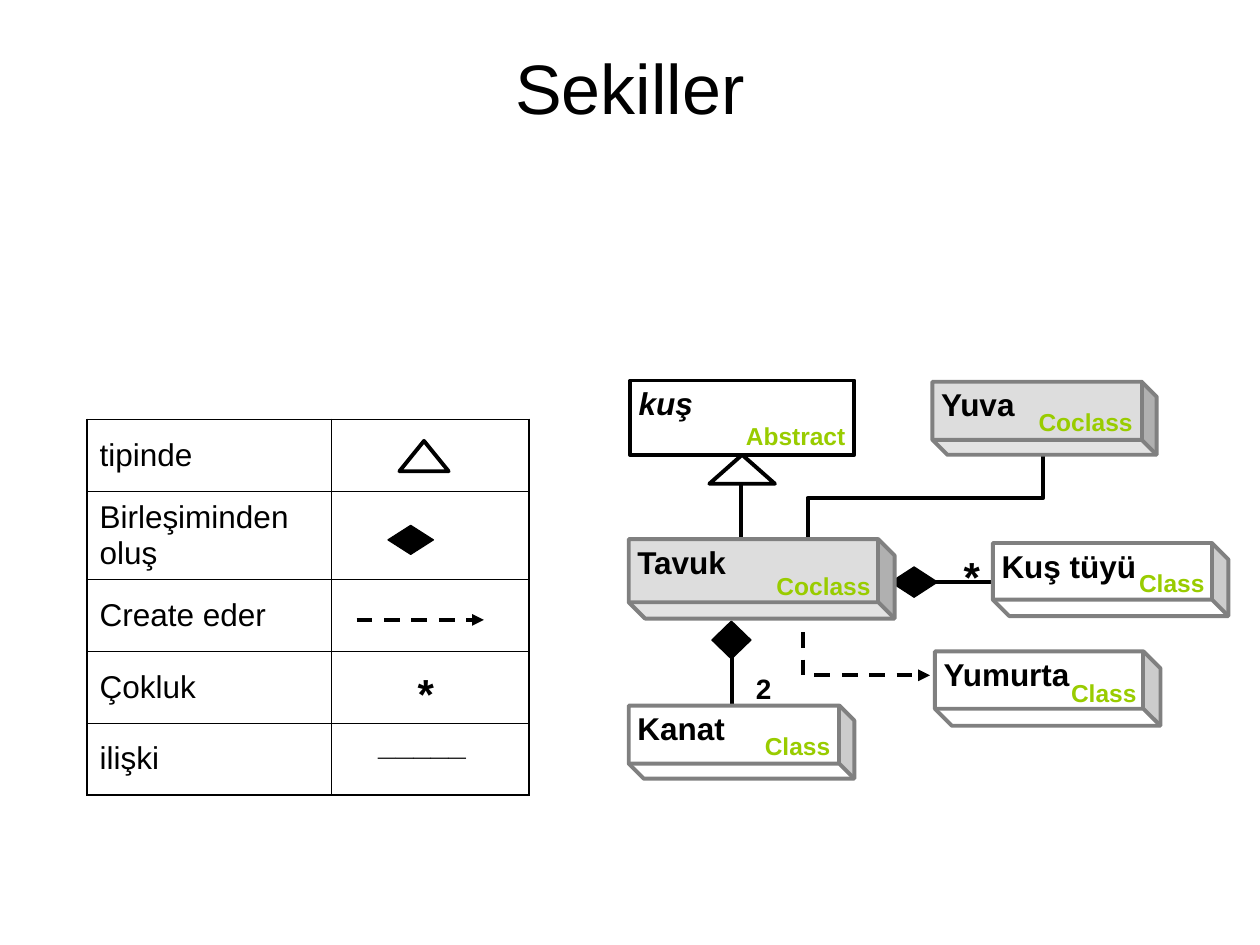
"""Build the "Sekiller" slide: a notation legend beside a class diagram."""
from lxml import etree
from pptx import Presentation
from pptx import util as u
from pptx.dml.color import RGBColor
from pptx.enum import dml, shapes, text
from pptx.oxml.ns import qn

BLACK, WHITE, GREY, SILVER, GREEN = "000000", "FFFFFF", "808080", "DDDDDD", "99CC00"
TITLE = "Sekiller"
MEANINGS = ["tipinde", "Birleşiminden oluş", "Create eder", "Çokluk", "ilişki"]
LEGEND_AREA = (0.69, 3.33, 3.51, 2.98)
LEGEND_COLUMNS, LEGEND_ROWS = (1.94, 1.57), (0.57, 0.7, 0.57, 0.57, 0.57)
TRIANGLES = [(3.17, 3.5, 0.39, 0.24), (5.63, 3.61, 0.52, 0.23)]
DIAMONDS = [(3.08, 4.17, 0.36, 0.23), (5.65, 4.93, 0.31, 0.3), (7.07, 4.5, 0.37, 0.24)]
LINES = [
    ((5.81, 5.08), (5.81, 5.61)),
    ((5.88, 3.84), (5.88, 4.27)),
    ((7.17, 4.62), (8.05, 4.62)),
]
CREATE_ARROW = ((2.83, 4.92), (3.84, 4.92))
NEST_LINK = ((6.41, 4.3), (8.28, 3.57))
EGG_ARROW = ((6.37, 4.8), (7.38, 5.36))
SYMBOLS = [
    ("*", (3.17, 5.25, 0.42, 0.32), 24, "CENTER"),
    ("_____", (2.83, 5.7, 1.04, 0.3), 18, "CENTER"),
    ("2", (5.9, 5.28, 0.37, 0.41), 16, "LEFT"),
    ("*", (7.55, 4.32, 0.37, 0.41), 24, "LEFT"),
]
ABSTRACT = ("kuş", "Abstract", (5, 3.02, 1.78, 0.59))
CLASSES = [
    ("Kanat", "Class", (4.99, 5.6, 1.79, 0.58), WHITE, 0.205),
    ("Yumurta", "Class", (7.42, 5.17, 1.79, 0.59), WHITE, 0.229),
    ("Yuva", "Coclass", (7.4, 3.03, 1.78, 0.58), SILVER, 0.205),
    ("Tavuk", "Coclass", (4.99, 4.28, 2.11, 0.63), SILVER, 0.205),
    ("Kuş tüyü", "Class", (7.88, 4.31, 1.87, 0.58), WHITE, 0.226),
]


def color(value):
    return RGBColor.from_string(value)


def inches(lengths):
    return [u.Inches(length) for length in lengths]


def write(frame, words, size=18, ink=BLACK, bold=False, italic=False,
          align="LEFT", anchor="TOP", side=0.1):
    frame.word_wrap = True
    frame.vertical_anchor = text.MSO_ANCHOR[anchor]
    frame.margin_left = frame.margin_right = u.Inches(side)
    frame.margin_top = frame.margin_bottom = u.Inches(0.05)
    paragraph = frame.paragraphs[0]
    paragraph.alignment = text.PP_ALIGN[align]
    run = paragraph.add_run()
    run.text = words
    font = run.font
    font.name, font.size, font.bold, font.italic = "Arial", u.Pt(size), bold, italic
    font.color.rgb = color(ink)


def label(slide, words, area, **look):
    write(slide.shapes.add_textbox(*inches(area)).text_frame, words, bold=True, **look)


def draw(slide, kind, area, fill=None, line=BLACK, width=2.25):
    outline = slide.shapes.add_shape(shapes.MSO_SHAPE[kind], *inches(area))
    outline.shadow.inherit = False
    if fill:
        outline.fill.solid()
        outline.fill.fore_color.rgb = color(fill)
    else:
        outline.fill.background()
    outline.line.color.rgb = color(line)
    outline.line.width = u.Pt(width)
    return outline


def connect(slide, start, end, kind="STRAIGHT", arrow=False):
    link = slide.shapes.add_connector(shapes.MSO_CONNECTOR[kind], *inches(start + end))
    link.line.color.rgb = color(BLACK)
    link.line.width = u.Pt(2.25)
    if arrow:
        link.line.dash_style = dml.MSO_LINE.DASH
        etree.SubElement(link.line._get_or_add_ln(), qn("a:tailEnd"), type="triangle")
    etree.SubElement(link._element.spPr, qn("a:effectLst"))
    return link


def bend(slide, start, end, turn, preset, middle=None, arrow=False):
    """Connect two points by an elbow that leaves the start vertically."""
    center_x, center_y = ((a + b) / 2 for a, b in zip(start, end))
    across, down = turn * (start[1] - center_y), turn * (center_x - start[0])
    link = connect(slide, (center_x + across, center_y + down),
                   (center_x - across, center_y - down), "ELBOW", arrow)
    properties = link._element.spPr
    properties.find(qn("a:xfrm")).set("rot", str(turn * 90 % 360 * 60000))
    geometry = properties.find(qn("a:prstGeom"))
    geometry.set("prst", preset)
    if middle:
        guides = geometry.find(qn("a:avLst"))
        if guides is None:
            guides = etree.SubElement(geometry, qn("a:avLst"))
        etree.SubElement(guides, qn("a:gd"), name="adj1", fmla=f"val {round(middle * 100000)}")


def border(cell, edges):
    properties = cell._tc.get_or_add_tcPr()
    for index, (side, outer) in enumerate(edges.items()):
        line = etree.Element(qn(f"a:ln{side}"), w=str(u.Pt(1.08 if outer else 0.45)))
        fill = etree.SubElement(line, qn("a:solidFill"))
        etree.SubElement(fill, qn("a:srgbClr"), val=BLACK)
        properties.insert(index, line)


def add_legend(slide):
    last_row, last_column = len(LEGEND_ROWS) - 1, len(LEGEND_COLUMNS) - 1
    legend = slide.shapes.add_table(last_row + 1, last_column + 1, *inches(LEGEND_AREA)).table
    legend.first_row = legend.horz_banding = False
    for column, width in zip(legend.columns, inches(LEGEND_COLUMNS)):
        column.width = width
    for r, (row, height) in enumerate(zip(legend.rows, inches(LEGEND_ROWS))):
        row.height = height
        for c, cell in enumerate(row.cells):
            cell.fill.background()
            border(cell, {"L": c == 0, "R": c == last_column, "T": r == 0, "B": r == last_row})
        meaning = legend.cell(r, 0)
        write(meaning.text_frame, MEANINGS[r])
        meaning.vertical_anchor = text.MSO_ANCHOR.MIDDLE


def add_names(slide, name, tag, area, inset=0.19, rise=0.43, italic=False):
    left, top, width, height = area
    label(slide, name, (left - 0.03, top - 0.02, 1.82, 0.4), italic=italic)
    tag_area = (left + width - inset - 1.08, top + height - rise, 1.08, 0.33)
    label(slide, tag, tag_area, size=14, ink=GREEN, align="RIGHT", side=0)


def main():
    deck = Presentation()
    deck.slide_width, deck.slide_height = inches((10, 7.5))
    slide = deck.slides.add_slide(deck.slide_layouts[5])
    heading = slide.shapes.title
    heading.left, heading.top, heading.width, heading.height = inches((0.5, 0.3, 9, 0.78))
    write(heading.text_frame, TITLE, size=40, align="CENTER", anchor="MIDDLE")
    add_legend(slide)
    for start, end in LINES:
        connect(slide, start, end)
    connect(slide, *CREATE_ARROW, arrow=True)
    bend(slide, *NEST_LINK, 1, "bentConnector3", middle=0.477)
    bend(slide, *EGG_ARROW, -1, "bentConnector2", arrow=True)
    for area in TRIANGLES:
        draw(slide, "ISOSCELES_TRIANGLE", area)
    for area in DIAMONDS:
        draw(slide, "DIAMOND", area, fill=BLACK, width=0.75)
    draw(slide, "RECTANGLE", ABSTRACT[2], fill=WHITE)
    add_names(slide, *ABSTRACT, inset=0.07, rise=0.32, italic=True)
    for name, tag, area, fill, depth in CLASSES:
        cube = draw(slide, "CUBE", area, fill=fill, line=GREY)
        cube.adjustments[0] = depth
        cube._element.spPr.find(qn("a:xfrm")).set("flipV", "1")
        add_names(slide, name, tag, area)
    for symbol, area, size, align in SYMBOLS:
        label(slide, symbol, area, size=size, align=align)
    deck.save("out.pptx")


if __name__ == "__main__":
    main()
